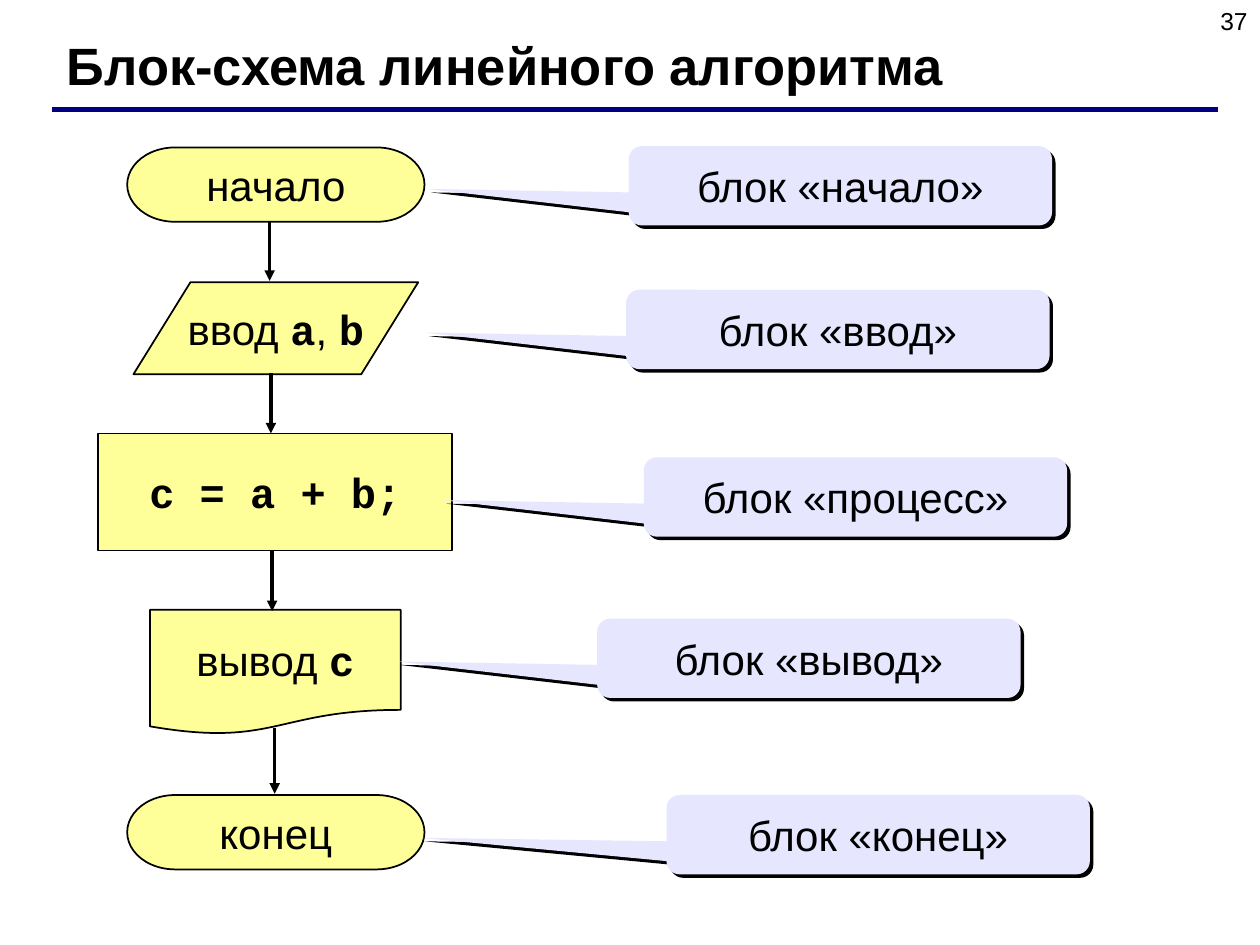
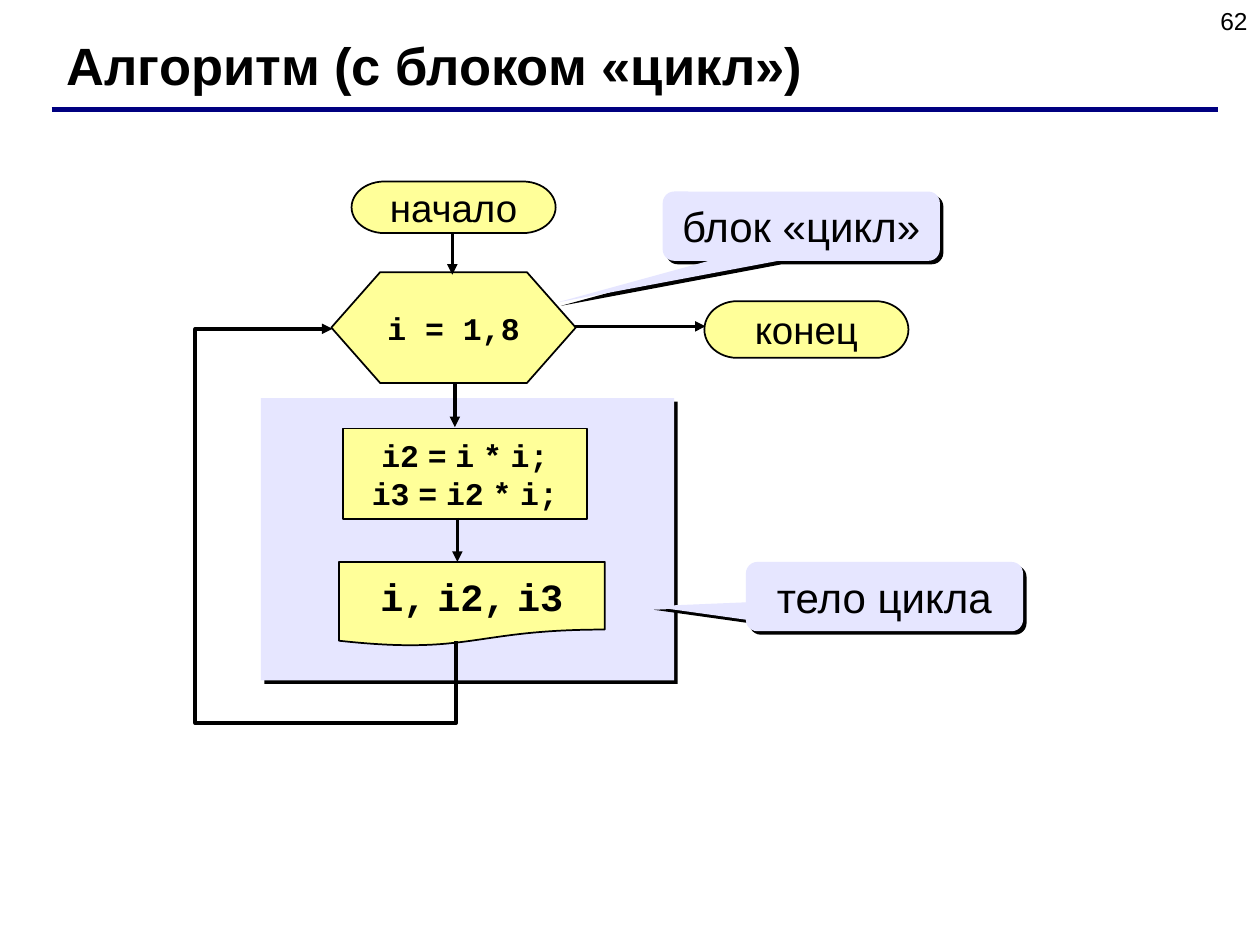
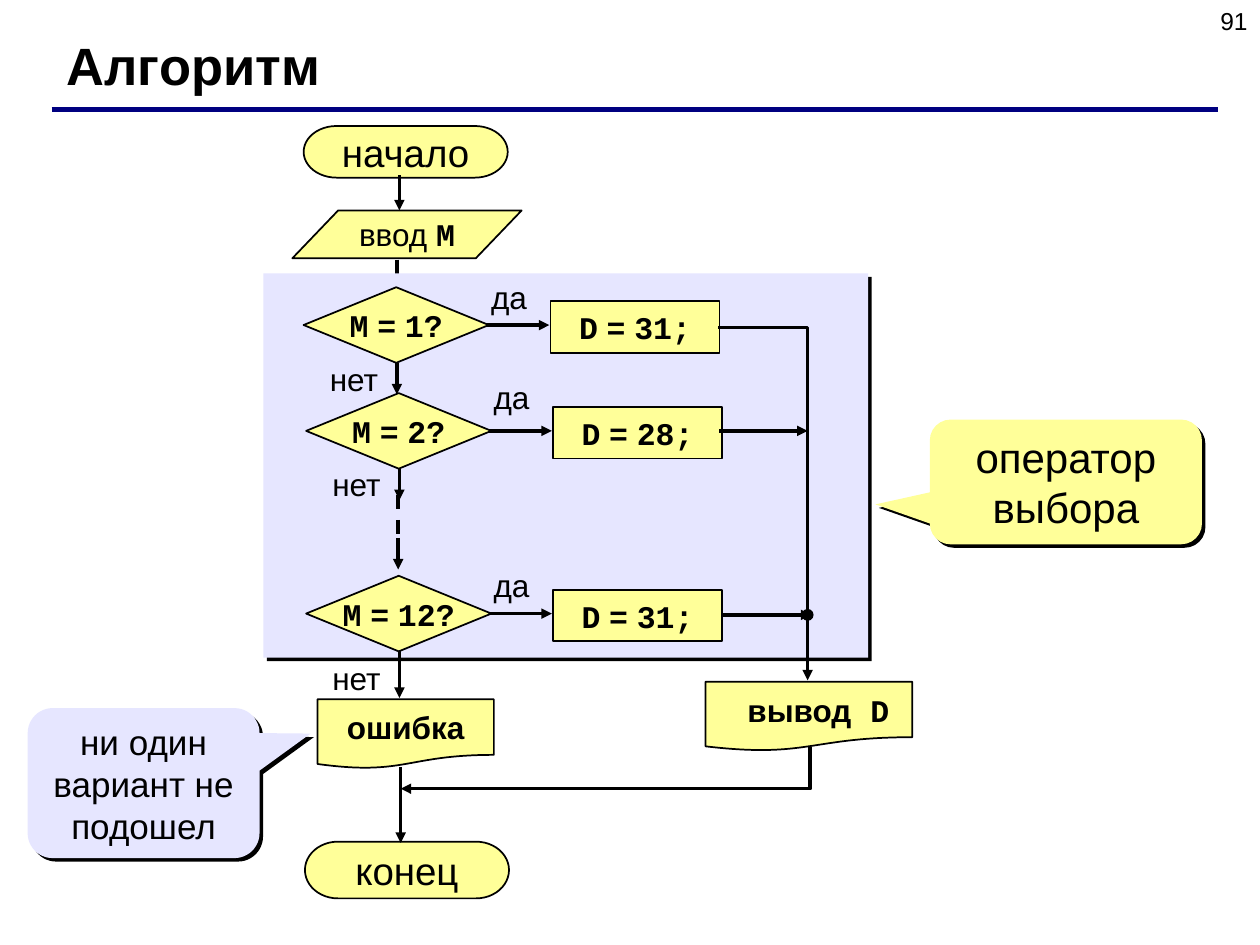
from lxml.etree import SubElement
from pptx import Presentation
from pptx.dml.color import RGBColor
from pptx.enum.dml import MSO_LINE as Dash
from pptx.enum.shapes import MSO_CONNECTOR as Conn, MSO_SHAPE as Form
from pptx.enum.text import MSO_ANCHOR as Anchor, MSO_AUTO_SIZE as Fit, PP_ALIGN as Align
from pptx.oxml.ns import qn
from pptx.util import Emu, Inches, Pt

COLORS = {"ink": "000000", "rule": "000080", "block": "FFFF99", "note": "E6E6FF"}
SANS, MONO = "Arial", "Courier New"
FORMS = {
    "end": Form.FLOWCHART_TERMINATOR,
    "data": Form.FLOWCHART_DATA,
    "step": Form.FLOWCHART_PROCESS,
    "box": Form.RECTANGLE,
    "doc": Form.FLOWCHART_DOCUMENT,
    "loop": Form.FLOWCHART_PREPARATION,
    "test": Form.FLOWCHART_DECISION,
}


def tight(code):
    """Mark code as monospaced, with narrow spaces between its words."""
    return "`" + code.replace(" ", "` `") + "`"


# Backticks mark bold monospaced text.
# blocks: kind, text, box, size; links: points; notes: text, box, tip, size, color
LINEAR = {
    "page": "37",
    "title": "Блок-схема линейного алгоритма",
    "blocks": [
        ("end", "начало", (1.01, 1.17, 2.36, 0.59), 24),
        ("data", "ввод `a`, `b`", (1.06, 2.24, 2.26, 0.73), 24),
        ("box", "`c = a + b;`", (0.78, 3.44, 2.81, 0.93), 24),
        ("doc", "вывод `c`", (1.19, 4.84, 1.99, 0.99), 24),
        ("end", "конец", (1.01, 6.31, 2.36, 0.59), 24),
    ],
    "links": [
        [(2.14, 1.75), (2.14, 2.23)],
        [(2.15, 2.96), (2.15, 3.44)],
        [(2.16, 4.37), (2.16, 4.85)],
        [(2.18, 5.78), (2.18, 6.3)],
    ],
    "notes": [
        (f"блок «{name}»", (x, y, 3.36, 0.63), (tip, 0.04), 24, "note")
        for name, x, y, tip in [
            ("начало", 4.99, 1.16, -0.975),
            ("ввод", 4.97, 2.3, -0.975),
            ("процесс", 5.11, 3.63, -0.975),
            ("вывод", 4.74, 4.91, -0.975),
            ("конец", 5.29, 6.31, -1.08),
        ]
    ],
}

LOOP = {
    "page": "62",
    "title": "Алгоритм (с блоком «цикл»)",
    "panel": (2.07, 3.16, 3.28, 2.24),
    "blocks": [
        ("end", "начало", (2.79, 1.44, 1.62, 0.41), 22),
        ("loop", "`i = 1,8`", (2.63, 2.16, 1.94, 0.88), 18),
        ("end", "конец", (5.59, 2.39, 1.62, 0.45), 22),
        ("step", tight("i2 = i * i;") + "\n" + tight("i3 = i2 * i;"),
         (2.72, 3.4, 1.94, 0.72), 18),
        ("doc", tight("i, i2, i3"), (2.69, 4.46, 2.11, 0.67), 22),
    ],
    "links": [
        [(3.59, 1.86), (3.59, 2.18)],
        [(3.61, 3.04), (3.61, 3.39)],
        [(3.63, 4.11), (3.63, 4.46)],
        [(4.56, 2.59), (5.6, 2.59)],
        [(3.62, 5.09), (3.62, 5.74), (1.55, 5.74), (1.55, 2.61), (2.64, 2.61)],
    ],
    "notes": [
        ("блок «цикл»", (5.26, 1.52, 2.2, 0.55), (-0.88, 1.1), 24, "note"),
        ("тело цикла", (5.92, 4.46, 2.2, 0.55), (-0.845, 0.14), 24, "note"),
    ],
}

CHOICE = {
    "page": "91",
    "title": "Алгоритм",
    "under": [[(3.15, 2.06), (3.15, 2.29)]],
    "panel": (2.09, 2.17, 4.8, 3.05),
    "blocks": [
        ("end", "начало", (2.41, 1, 1.62, 0.41), 22),
        ("data", "ввод `M`", (2.32, 1.67, 1.82, 0.38), 18),
        ("doc", "` `*вывод*` D`", (5.6, 5.41, 1.64, 0.55), 18),
        ("doc", "*ошибка*", (2.52, 5.55, 1.4, 0.55), 18),
        ("end", "конец", (2.42, 6.68, 1.62, 0.45), 22),
    ],
    "links": [
        [(3.17, 1.39), (3.17, 1.67)],
        [(3.16, 4.27), (3.16, 4.52)],
        [(3.18, 6.09), (3.18, 6.69)],
        [(6.43, 5.93), (6.43, 6.26), (3.18, 6.26)],
        [(5.7, 2.6), (6.41, 2.6), (6.41, 5.4)],
        [(5.71, 3.42), (6.41, 3.42)],
        [(5.74, 4.88), (6.44, 4.88)],
    ],
    "dashed": [(3.16, 3.93), (3.16, 4.34)],
    "dot": (6.37, 4.84, 0.08, 0.08),
    "notes": [
        ("оператор выбора", (7.38, 3.33, 2.16, 0.99), (-0.7, 0.18), 24, "block"),
        ("ни один вариант не подошел", (0.22, 5.62, 1.84, 1.19), (0.72, -0.33), 20, "note"),
    ],
    # month, days, corner of the test, rise of "да", drop of "нет", length of the way down
    "tests": [
        (1, 31, 2.41, 2.28, 0.12, 0.53, 0.25),
        (2, 28, 2.43, 3.12, 0.17, 0.52, 0.25),
        (12, 31, 2.43, 4.57, 0.13, 0.61, 0.37),
    ],
}


def rgb(name):
    return RGBColor.from_string(COLORS[name])


def inches(nums):
    return [Inches(n) for n in nums]


def write(frame, text, size, align=Align.CENTER, bold=False):
    """Fill a frame; backticks mark code and stars mark bold words."""
    for i, row in enumerate(text.split("\n")):
        para = frame.add_paragraph() if i else frame.paragraphs[0]
        para.alignment = align
        font = para.font
        font.name, font.size, font.bold = SANS, Pt(size), bold
        font.color.rgb = rgb("ink")
        for j, part in enumerate(row.split("`")):
            words = part if j % 2 else part.replace("*", "") if part.count("*") == 2 else part
            if not words:
                continue
            run = para.add_run()
            run.text = words
            if j % 2:
                run.font.name, run.font.bold = MONO, True
            elif words != part:
                run.font.bold = True


def stroke(shape, color="ink", width=2, arrow=False, dash=None):
    line = shape.line
    line.color.rgb, line.width = rgb(color), Pt(width)
    if dash:
        line.dash_style = dash
    if arrow:
        ln = shape.element.spPr.find(qn("a:ln"))
        SubElement(ln, qn("a:tailEnd"), type="triangle")


def shade(shape):
    """Replace the outline with a hard shadow down and to the right."""
    shape.line.fill.background()
    effects = shape.element.spPr.find(qn("a:effectLst"))
    cast = SubElement(effects, qn("a:outerShdw"), dist=str(Pt(2.8)), dir="2700000",
                      algn="ctr", rotWithShape="0")
    SubElement(cast, qn("a:srgbClr"), val=COLORS["ink"])


def add_form(slide, form, box, color):
    shape = slide.shapes.add_shape(form, *inches(box))
    shape.shadow.inherit = False
    shape.fill.solid()
    shape.fill.fore_color.rgb = rgb(color)
    return shape


def add_block(slide, kind, text, box, size):
    shape = add_form(slide, FORMS[kind], box, "block")
    stroke(shape, width=1)
    frame = shape.text_frame
    frame.word_wrap, frame.vertical_anchor = False, Anchor.MIDDLE
    write(frame, text, size)


def add_note(slide, text, box, tip, size, color):
    shape = add_form(slide, Form.ROUNDED_RECTANGULAR_CALLOUT, box, color)
    shape.adjustments[0], shape.adjustments[1] = tip
    shade(shape)
    frame = shape.text_frame
    frame.word_wrap, frame.vertical_anchor = True, Anchor.MIDDLE
    write(frame, text, size)


def add_line(slide, points, **look):
    """Draw a connector, or an open outline when the way has bends."""
    ends = [inches(p) for p in points]
    if len(ends) == 2:
        shape = slide.shapes.add_connector(Conn.STRAIGHT, *ends[0], *ends[1])
        stroke(shape, **look)
        SubElement(shape.element.spPr, qn("a:effectLst"))
    else:
        pen = slide.shapes.build_freeform(*ends[0])
        pen.add_line_segments(ends[1:], close=False)
        shape = pen.convert_to_shape(Emu(0), Emu(0))
        shape.shadow.inherit = False
        shape.fill.background()
        stroke(shape, **look)


def add_label(slide, text, box, size, align=Align.CENTER):
    frame = slide.shapes.add_textbox(*inches(box)).text_frame
    frame.word_wrap = True
    write(frame, text, size, align)


def add_test(slide, month, days, x, y, rise, drop, down):
    """Draw one test with its answer and both ways out."""
    mid = x + 0.74
    add_block(slide, "test", tight(f"M = {month}?"), (x, y, 1.47, 0.6), 18)
    add_block(slide, "step", tight(f"D = {days};"), (x + 1.96, y + 0.11, 1.34, 0.41), 18)
    add_line(slide, [(x + 1.45, y + 0.3), (x + 1.95, y + 0.3)], arrow=True)
    add_line(slide, [(mid, y + 0.6), (mid, y + 0.6 + down)], arrow=True)
    add_label(slide, "да", (x + 1.3, y - rise, 0.66, 0.4), 18)
    add_label(slide, "нет", (x + 0.07, y + drop, 0.66, 0.4), 18)


def add_frame(slide, title, page):
    """Draw the title, its rule and the page number."""
    head = slide.shapes.title
    head.left, head.top, head.width, head.height = inches((0.43, 0.21, 8.9, 0.6))
    frame = head.text_frame
    frame.auto_size, frame.vertical_anchor = Fit.NONE, Anchor.MIDDLE
    write(frame, title, 30, Align.LEFT, bold=True)
    add_line(slide, [(0.41, 0.87), (9.67, 0.87)], color="rule", width=3)
    add_label(slide, page, (7.67, 0, 2.33, 0.52), 14, Align.RIGHT)


def add_chart_slide(deck, data):
    slide = deck.slides.add_slide(deck.slide_layouts[5])
    add_frame(slide, data["title"], data["page"])
    for way in data.get("under", []):
        add_line(slide, way, arrow=True)
    if "panel" in data:
        shade(add_form(slide, Form.RECTANGLE, data["panel"], "note"))
    for block in data["blocks"]:
        add_block(slide, *block)
    for test in data.get("tests", []):
        add_test(slide, *test)
    for way in data["links"]:
        add_line(slide, way, arrow=True)
    if "dashed" in data:
        add_line(slide, data["dashed"], dash=Dash.DASH)
    if "dot" in data:
        stroke(add_form(slide, Form.OVAL, data["dot"], "ink"), width=1)
    for note in data["notes"]:
        add_note(slide, *note)


def main():
    deck = Presentation()
    deck.slide_width, deck.slide_height = Inches(10), Inches(7.5)
    for data in (LINEAR, LOOP, CHOICE):
        add_chart_slide(deck, data)
    deck.save("out.pptx")


if __name__ == "__main__":
    main()
